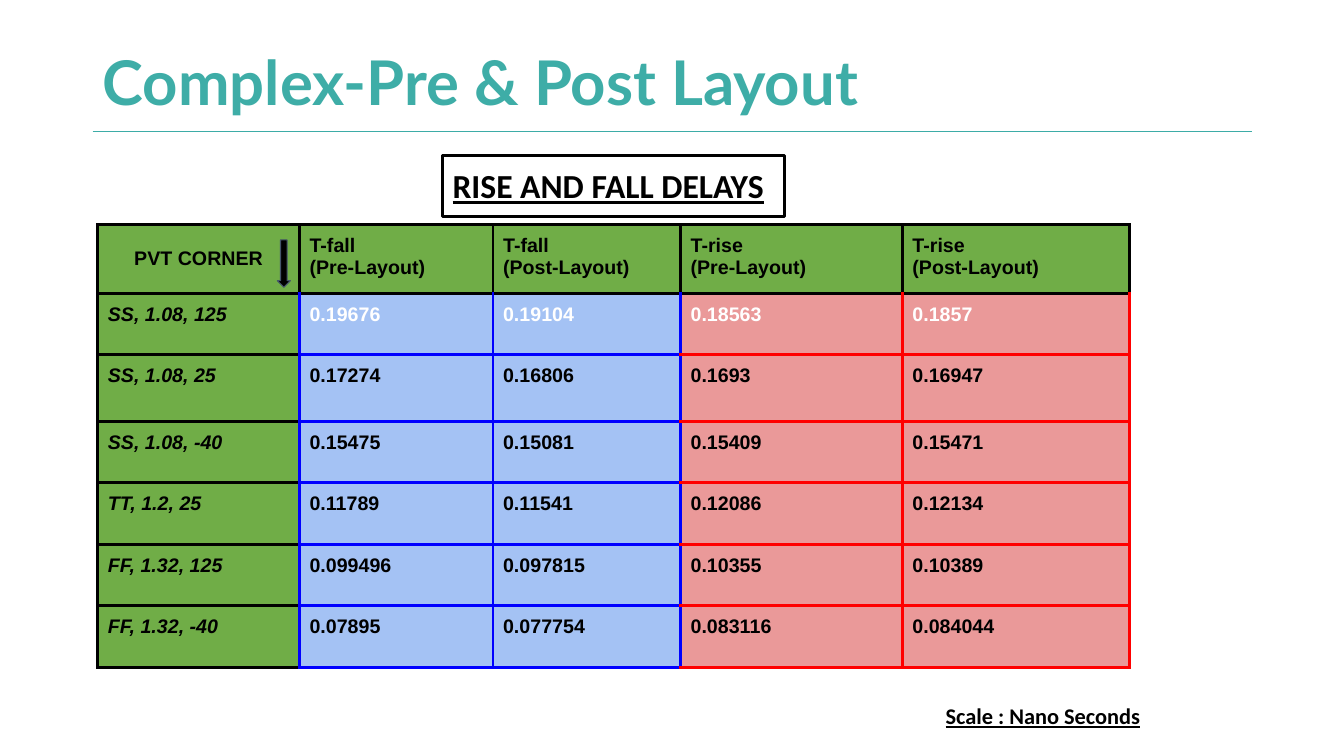
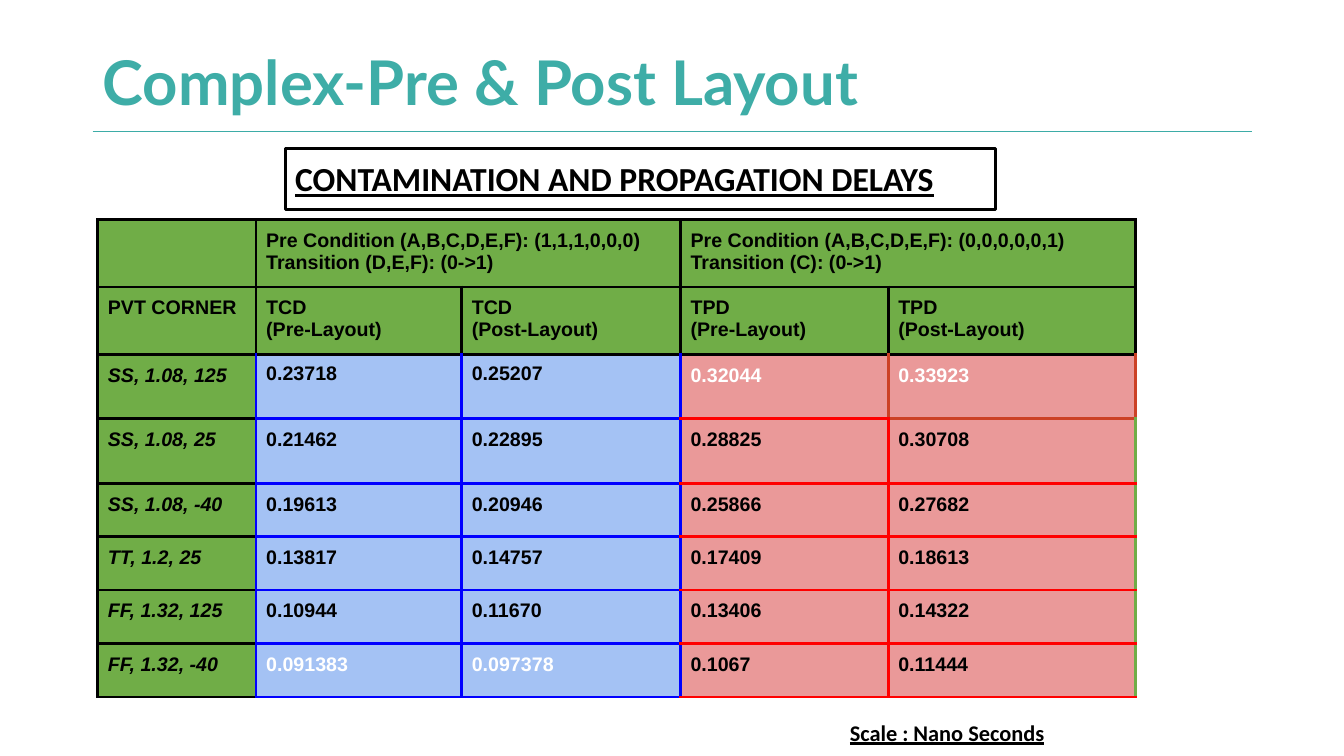
import pptx
import pptx.util
import pptx.dml.color
import pptx.enum.shapes
import pptx.enum.text
import pptx.oxml
import pptx.oxml.ns
import lxml.etree

Inches, Pt = pptx.util.Inches, pptx.util.Pt
ANCHOR, ALIGN = pptx.enum.text.MSO_ANCHOR, pptx.enum.text.PP_ALIGN
TEAL, RULE, BLACK, WHITE = "3EADA7", "3DACA7", "000000", "FFFFFF"
GREEN, SKY, PINK = "70AD47", "A4C2F4", "EA9999"
BLUE, RED, BRICK, SLATE = "0000FF", "FF0000", "CC4125", "44546A"
CORNERS = ["SS, 1.08, 125", "SS, 1.08, 25", "SS, 1.08, -40",
           "TT, 1.2, 25", "FF, 1.32, 125", "FF, 1.32, -40"]
LAYOUTS = ["(Pre-Layout)", "(Post-Layout)"] * 2

RISE_FALL = [
    ["0.19676", "0.19104", "0.18563", "0.1857"],
    ["0.17274", "0.16806", "0.1693", "0.16947"],
    ["0.15475", "0.15081", "0.15409", "0.15471"],
    ["0.11789", "0.11541", "0.12086", "0.12134"],
    ["0.099496", "0.097815", "0.10355", "0.10389"],
    ["0.07895", "0.077754", "0.083116", "0.084044"],
]
CONT_PROP = [
    ["0.23718", "0.25207", "0.32044", "0.33923"],
    ["0.21462", "0.22895", "0.28825", "0.30708"],
    ["0.19613", "0.20946", "0.25866", "0.27682"],
    ["0.13817", "0.14757", "0.17409", "0.18613"],
    ["0.10944", "0.11670", "0.13406", "0.14322"],
    ["0.091383", "0.097378", "0.1067", "0.11444"],
]


def rgb(color):
    """Turn a hex string into a colour."""
    return pptx.dml.color.RGBColor.from_string(color)


def add_text(p, text, size, font, color, italic=False, underline=False):
    """Add one bold run to a paragraph."""
    r = p.add_run()
    r.text = text
    f = r.font
    f.name, f.size, f.bold = font, Pt(size), True
    f.italic, f.underline = italic, underline
    f.color.rgb = rgb(color)


def set_margins(box, margin):
    """Give a cell or text frame equal margins on all sides."""
    box.margin_left = box.margin_right = Inches(margin)
    box.margin_top = box.margin_bottom = Inches(margin)


def add_title(s, text, left, top, width, height):
    """Place the slide title and the rule under it."""
    title = s.shapes.title
    title.left, title.top = Inches(left), Inches(top)
    title.width, title.height = Inches(width), Inches(height)
    tf = title.text_frame
    tf.auto_size = pptx.enum.text.MSO_AUTO_SIZE.NONE
    tf.vertical_anchor = ANCHOR.MIDDLE
    p = tf.paragraphs[0]
    p.alignment, p.line_spacing = ALIGN.LEFT, 0.9
    add_text(p, text, 44, "Lato", TEAL)
    y = Inches(top + height)
    line = s.shapes.add_connector(pptx.enum.shapes.MSO_CONNECTOR.STRAIGHT,
                                  Inches(left), y, Inches(left + 11.5), y)
    line.line.color.rgb = rgb(RULE)
    line.line.width = Pt(0.75)
    sppr = line._element.spPr
    lxml.etree.SubElement(sppr, pptx.oxml.ns.qn("a:effectLst"))


def add_label(s, text, size, left, top, width, height, framed=False):
    """Place an underlined label, with a black frame if asked."""
    sp = s.shapes.add_textbox(Inches(left), Inches(top), Inches(width), Inches(height))
    if framed:
        sp.line.color.rgb = rgb(BLACK)
        sp.line.width = Pt(2.25)
    tf = sp.text_frame
    tf.word_wrap = True
    set_margins(tf, 0.1)
    add_text(tf.paragraphs[0], text, size, "Calibri", BLACK, underline=True)


def add_down_arrow(s, left, top, width, height):
    """Place the arrow that points down the corner column."""
    sp = s.shapes.add_shape(pptx.enum.shapes.MSO_SHAPE.DOWN_ARROW,
                            Inches(left), Inches(top), Inches(width), Inches(height))
    sp.shadow.inherit = False
    sp.fill.solid()
    sp.fill.fore_color.rgb = rgb(BLACK)
    sp.line.color.rgb = rgb(SLATE)
    sp.line.width = Pt(0.75)


def set_borders(cell, colors):
    """Draw left, right, top and bottom borders in the given colours."""
    tcpr = cell._tc.get_or_add_tcPr()
    for side, color in zip("LRTB", colors):
        tcpr.append(pptx.oxml.parse_xml(
            f'<a:ln{side} {pptx.oxml.ns.nsdecls("a")} w="28575"><a:solidFill>'
            f'<a:srgbClr val="{color}"/></a:solidFill></a:ln{side}>'))


def border_colors(row, col):
    """Return the usual border colours of a data cell."""
    if col == 0:
        return [BLACK, BLUE, BLACK, BLACK]
    block = BLUE if col < 3 else RED
    return [BLUE if col < 4 else RED, block, BLACK if row == 0 else block, block]


def mixed_borders(row, col):
    """Return border colours with a brick first row and a green right edge."""
    left, right, top, bottom = border_colors(row, col)
    if row == 0 and col == 3:
        right = BRICK
    elif row == 0 and col == 4:
        left = right = bottom = BRICK
    elif col == 4:
        right = GREEN
        top = BRICK if row == 1 else RED
    return [left, right, top, bottom]


def fill_cell(cell, lines, fill, borders, color=BLACK, italic=False):
    """Format one cell and write its lines."""
    set_borders(cell, borders)
    cell.fill.solid()
    cell.fill.fore_color.rgb = rgb(fill)
    set_margins(cell, 0.1)
    tf = cell.text_frame
    for i, line in enumerate(lines):
        p = tf.add_paragraph() if i else tf.paragraphs[0]
        add_text(p, line, 14, "Arial", color, italic)


def add_delay_table(s, left, top, cols, rows, heads, values, white, borders):
    """Place a delay table: green heads, blue and red value blocks."""
    tbl = s.shapes.add_table(len(rows), len(cols), Inches(left), Inches(top),
                             Inches(sum(cols)), Inches(sum(rows))).table
    tbl.first_row = tbl.horz_banding = False
    for column, width in zip(tbl.columns, cols):
        column.width = Inches(width)
    for row, height in zip(tbl.rows, rows):
        row.height = Inches(height)
    for r, head in enumerate(heads):
        for c, lines in enumerate(head):
            fill_cell(tbl.cell(r, c), lines, GREEN, [BLACK] * 4)
    for r, (corner, numbers) in enumerate(zip(CORNERS, values)):
        for c, text in enumerate([corner] + numbers):
            fill = GREEN if c == 0 else SKY if c < 3 else PINK
            fill_cell(tbl.cell(r + len(heads), c), [text], fill, borders(r, c),
                      WHITE if (r, c) in white else BLACK, c == 0)
    return tbl


def column_heads(names):
    """Return the head row for two pairs of layout columns."""
    return [["PVT CORNER"]] + [list(pair) for pair in zip(names, LAYOUTS)]


def add_delay_slide(prs, heading, heading_box, scale_box):
    """Add a slide with the title, a framed heading and the scale note."""
    s = prs.slides.add_slide(prs.slide_layouts[5])
    add_title(s, "Complex-Pre & Post Layout", 0.92, 0.4, 10.33, 0.9)
    add_label(s, heading, 24, *heading_box, framed=True)
    add_label(s, "Scale : Nano Seconds", 16, *scale_box)
    return s


def rise_fall_slide(prs):
    """Build the slide of rise and fall delays."""
    s = add_delay_slide(prs, "RISE AND FALL DELAYS",
                        (4.39, 1.54, 3.39, 0.61), (9.28, 6.87, 2.15, 0.47))
    heads = [column_heads(["T-fall", "T-fall", "T-rise", "T-rise"])]
    tbl = add_delay_table(s, 0.97, 2.23, [2, 1.92, 1.86, 2.2, 2.25],
                          [0.68, 0.61, 0.66] + [0.61] * 4, heads, RISE_FALL,
                          {(0, c) for c in range(1, 5)}, border_colors)
    corner = tbl.cell(0, 0)
    corner.vertical_anchor = ANCHOR.MIDDLE
    corner.text_frame.paragraphs[0].alignment = ALIGN.CENTER
    add_down_arrow(s, 2.75, 2.38, 0.13, 0.47)


def contamination_slide(prs):
    """Build the slide of contamination and propagation delays."""
    s = add_delay_slide(prs, "CONTAMINATION AND PROPAGATION DELAYS",
                        (2.83, 1.47, 7.04, 0.61), (8.33, 7.03, 3.03, 0.47))
    conditions = [
        [],
        ["Pre Condition (A,B,C,D,E,F): (1,1,1,0,0,0)", "Transition (D,E,F): (0->1)"], [],
        ["Pre Condition (A,B,C,D,E,F): (0,0,0,0,0,1)", "Transition (C): (0->1)"], [],
    ]
    heads = [conditions, column_heads(["TCD", "TCD", "TPD", "TPD"])]
    tbl = add_delay_table(s, 0.97, 2.18, [1.57, 2.04, 2.17, 2.06, 2.45],
                          [0.64] * 4 + [0.53] * 4, heads, CONT_PROP,
                          {(0, 3), (0, 4), (5, 1), (5, 2)}, mixed_borders)
    for c in (1, 3):
        tbl.cell(0, c).merge(tbl.cell(0, c + 1))
    for c in (1, 2):
        tbl.cell(2, c).text_frame.paragraphs[0].line_spacing = 0.9


def main():
    """Build and save the presentation."""
    prs = pptx.Presentation()
    prs.slide_width, prs.slide_height = Inches(13.33), Inches(7.5)
    rise_fall_slide(prs)
    contamination_slide(prs)
    prs.save("out.pptx")


if __name__ == "__main__":
    main()
